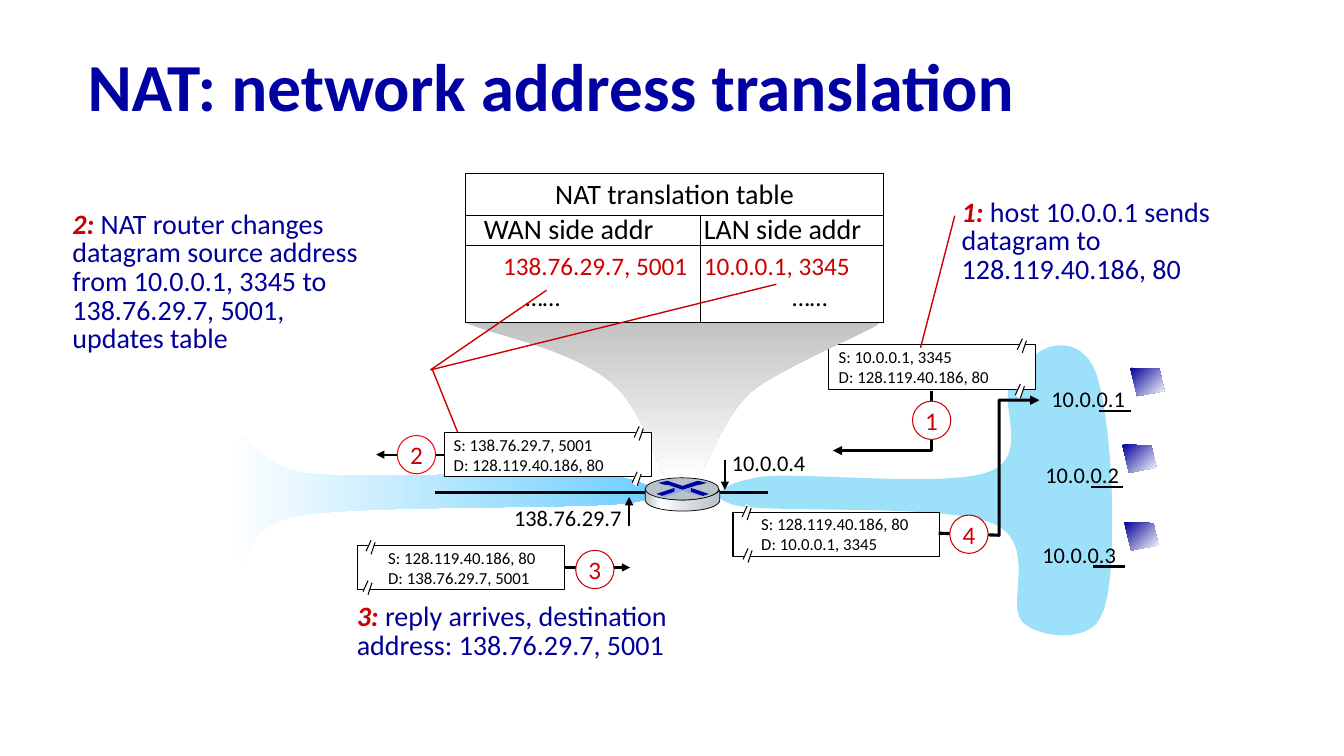
from lxml import etree
from pptx import Presentation
from pptx.dml.color import RGBColor
from pptx.enum.shapes import MSO_CONNECTOR as Connector, MSO_SHAPE as Shape
from pptx.enum.text import MSO_ANCHOR as Anchor, PP_ALIGN as Align
from pptx.oxml import parse_xml
from pptx.oxml.ns import nsdecls, qn
from pptx.util import Pt

PX = 9144
FONT = "Calibri"
BLACK, WHITE, RED, NAVY, BLUE = "000000", "FFFFFF", "CC0000", "000099", "0000A3"

TITLE = "NAT: network address translation"
WAN_CLOUD = [(598, 471), (545, 466, 368, 476, 308, 470), (248, 464, 249, 421, 237, 435),
             (225, 450, 227, 544, 237, 557), (247, 569, 235, 521, 299, 511),
             (363, 501, 573, 505, 623, 499), (673, 492, 641, 476, 598, 471)]
LAN_CLOUD = [(755, 473), (796, 468, 940, 484, 981, 468), (1022, 453, 991, 402, 1002, 381),
             (1013, 360, 1033, 344, 1047, 343), (1061, 341, 1079, 346, 1088, 373),
             (1097, 400, 1103, 464, 1103, 505), (1103, 546, 1103, 599, 1088, 618),
             (1073, 636, 1031, 633, 1014, 617), (997, 600, 1031, 538, 984, 519),
             (938, 500, 771, 509, 733, 502), (695, 494, 717, 479, 755, 473)]
FUNNEL = [(462, 320), (462, 320, 823, 309, 871, 320), (885, 319, 777, 363, 747, 387),
          (717, 412, 702, 463, 689, 477), (663, 477), (649, 460, 638, 404, 605, 378),
          (563, 345, 495, 334, 462, 320)]
ROUTER_SIDE = [(714, 486), (714, 497), (711, 505, 690, 507, 677, 507),
               (665, 507, 643, 505, 640, 497), (640, 494, 640, 488, 640, 485),
               (644, 492, 665, 496, 677, 496), (689, 496, 710, 493, 714, 486)]
ROUTER_ARROWS = [
    [(692, 477), (701, 479), (694, 481), (693, 481), (677, 486), (662, 481), (659, 481),
     (653, 479), (662, 477), (677, 482)],
    [(685, 484), (703, 490), (697, 492), (685, 488)],
    [(669, 484), (669, 488), (657, 492), (651, 490)]]
ROUTER_CROSS = [(659, 481), (662, 481), (677, 486), (693, 481), (695, 481), (685, 484),
                (685, 488), (696, 492), (693, 492), (677, 487), (660, 493), (657, 492),
                (669, 488), (669, 484)]
ROUTER_METAL = [(0, "B8C2C9"), (21, WHITE), (60, "D6DCE0"), (100, "B8C2C9")]

PACKETS = {
    "1": dict(at=(822, 342), lines=["S: 10.0.0.1, 3345", "D: 128.119.40.186, 80"], inset=10,
              breaks=[(1009, 334), (1007, 379)], badge=(905, 398), ring=RED,
              route=[(826, 447), (924, 447), (924, 388)]),
    "2": dict(at=(441, 429), lines=["S: 138.76.29.7, 5001", "D: 128.119.40.186, 80"], inset=9,
              breaks=[(629, 421), (627, 466)], badge=(394, 432), ring="FF0000",
              side=1, tip=(373, 451)),
    "3": dict(at=(355, 541), lines=["S: 128.119.40.186, 80", "D: 138.76.29.7, 5001"], inset=30,
              breaks=[(363, 534), (360, 574)], badge=(571, 546), ring=RED,
              side=3, tip=(625, 563)),
    "4": dict(at=(727, 508), lines=["S: 128.119.40.186, 80", "D: 10.0.0.1, 3345"], inset=28,
              breaks=[(736, 500), (737, 542)], badge=(942, 511), ring=RED,
              route=[(1031, 397), (991, 397), (991, 531), (931, 529)])}
NOTES = {
    "1": ((944, 193, 336, 96), ["host 10.0.0.1 sends datagram to 128.119.40.186, 80"]),
    "2": ((62, 205, 345, 153), ["NAT router changes datagram source address from 10.0.0.1, "
                                "3345 to 138.76.29.7, 5001,", "updates table"]),
    "3": ((344, 594, 389, 68), ["reply arrives, destination address: 138.76.29.7, 5001"])}
TABLE_AT = (462, 172)
COLUMN_WIDTHS = [233, 181]
TABLE_ROWS = [
    (42, 20, BLACK, "LRTB", Anchor.MIDDLE, 1, [("NAT translation table", 0)]),
    (30, 20, BLACK, "LRTB", Anchor.MIDDLE, 0.87, [("WAN side addr", 18), ("LAN side addr", 3)]),
    (36, 18, RED, "LRT", Anchor.BOTTOM, 1, [("138.76.29.7, 5001", 37), ("10.0.0.1, 3345", 3)]),
    (40, 18, BLACK, "LRB", Anchor.TOP, 1, [("……", 59), ("……", 91)])]
HOSTS = [("10.0.0.1", (1033, 377), (1121, 365), (1090, 408)),
         ("10.0.0.2", (1027, 453), (1113, 441), (1082, 483)),
         ("10.0.0.3", (1024, 532), (1115, 518), (1084, 562))]

presentation = Presentation()
presentation.slide_width, presentation.slide_height = 1333 * PX, 750 * PX
slide = presentation.slides.add_slide(presentation.slide_layouts[6])
shapes = slide.shapes


def rgb(color):
    return RGBColor.from_string(color)


def scaled(*lengths):
    return [length * PX for length in lengths]


def paint(shape, fill=None, line=None, width=0.75, angle=0):
    shape.shadow.inherit = False
    shape.fill.background()
    if isinstance(fill, list):
        stops = "".join(f'<a:gs pos="{pos * 1000}"><a:srgbClr val="{color}"/></a:gs>'
                        for pos, color in fill)
        properties = shape._element.spPr
        properties.replace(properties.find(qn("a:noFill")), parse_xml(
            f'<a:gradFill {nsdecls("a")} rotWithShape="1"><a:gsLst>{stops}</a:gsLst>'
            f'<a:lin ang="{angle * 60000}" scaled="0"/></a:gradFill>'))
    elif fill:
        shape.fill.solid()
        shape.fill.fore_color.rgb = rgb(fill)
    if line:
        shape.line.color.rgb = rgb(line)
        shape.line.width = Pt(width)
    else:
        shape.line.fill.background()
    return shape


def bend(shape, segments):
    nodes = iter(list(shape._element.iter(qn("a:lnTo"))))
    for segment in segments:
        group = [next(nodes) for _ in range(len(segment) // 2)]
        if len(group) == 3:
            curve = parse_xml(f'<a:cubicBezTo {nsdecls("a")}/>')
            group[0].addprevious(curve)
            for node in group:
                curve.append(node[0])
                node.getparent().remove(node)


def outline_shape(outline, fill=None, closed=True, **style):
    points = [tuple(scaled(*segment[index:index + 2]))
              for segment in outline for index in range(0, len(segment), 2)]
    builder = shapes.build_freeform(*points[0], scale=1.0)
    builder.add_line_segments(points[1:], close=closed)
    shape = builder.convert_to_shape()
    bend(shape, outline[1:])
    return paint(shape, fill, **style)


def arrowhead(shape, end):
    etree.SubElement(shape.line._get_or_add_ln(), qn(f"a:{end}"), type="triangle")


def connect(start, end, color=BLACK, width=0.75, arrow=False):
    line = shapes.add_connector(Connector.STRAIGHT, *scaled(*start, *end))
    line.line.color.rgb = rgb(color)
    line.line.width = Pt(width)
    if arrow:
        arrowhead(line, "tailEnd")
    etree.SubElement(line._element.spPr, qn("a:effectLst"))
    return line


def write(frame, lines, size, color, bold=False, spacing=None, align=Align.LEFT, lead=None):
    frame.text = "\n".join(lines)
    for paragraph in frame.paragraphs:
        paragraph.alignment = align
        if spacing:
            paragraph.line_spacing = spacing
    if lead:
        frame.paragraphs[0].text = lead
        frame.paragraphs[0].add_run().text = lines[0]
    for run in [run for paragraph in frame.paragraphs for run in paragraph.runs]:
        leading = run.text == lead
        run.font.name, run.font.size = FONT, Pt(size)
        run.font.bold, run.font.italic = bold or leading, leading
        run.font.color.rgb = rgb(RED if leading else color)


def text_box(at, lines, size, color, wrap=True, **style):
    frame = shapes.add_textbox(*scaled(*at)).text_frame
    frame.word_wrap = wrap
    write(frame, lines, size, color, **style)
    return frame


def note(number):
    at, lines = NOTES[number]
    text_box(at, lines, 20, NAVY, spacing=0.85, lead=f"{number}: ")


def filled_text(shape, lines, size, color, inset=0, **style):
    frame = shape.text_frame
    frame.margin_left = inset * PX
    frame.margin_right = frame.margin_top = frame.margin_bottom = 0
    frame.vertical_anchor = Anchor.MIDDLE
    frame.word_wrap = False
    write(frame, lines, size, color, **style)


def packet(number):
    data = PACKETS[number]
    box = paint(shapes.add_shape(Shape.RECTANGLE, *scaled(*data["at"], 205, 44)), WHITE, BLACK)
    filled_text(box, data["lines"], 12, BLACK, data["inset"])
    for x, y in data["breaks"]:
        outline_shape([(x + 4, y), (x, y + 13), (x + 5, y + 17), (x + 9, y + 4)], WHITE)
        connect((x + 5, y + 2), (x, y + 13))
        connect((x + 9, y + 4), (x + 5, y + 16))
    if "route" in data:
        arrowhead(outline_shape(data["route"], closed=False, line=BLACK, width=2.25), "headEnd")
    else:
        connect(data["tip"], data["tip"], width=1.5, arrow=True).begin_connect(box, data["side"])
    badge = paint(shapes.add_shape(Shape.OVAL, *scaled(*data["badge"], 38, 38)),
                  WHITE, data["ring"])
    filled_text(badge, [number], 18, RED, align=Align.CENTER)


def border(cell, visible):
    properties = cell._tc.get_or_add_tcPr()
    for position, side in enumerate("LRTB"):
        fill = (f'<a:solidFill><a:srgbClr val="{BLACK}"/></a:solidFill>'
                if side in visible else "<a:noFill/>")
        properties.insert(position, parse_xml(
            f'<a:ln{side} {nsdecls("a")} w="9525">{fill}</a:ln{side}>'))


def translation_table():
    heights = [row[0] for row in TABLE_ROWS]
    table = shapes.add_table(len(heights), 2, *scaled(
        *TABLE_AT, sum(COLUMN_WIDTHS), sum(heights))).table
    table.first_row = table.horz_banding = False
    for column, width in zip(table.columns, COLUMN_WIDTHS):
        column.width = width * PX
    table.cell(0, 0).merge(table.cell(0, 1))
    for index, (height, size, color, sides, anchor, spacing, entries) in enumerate(TABLE_ROWS):
        table.rows[index].height = height * PX
        for cell in table.rows[index].cells:
            cell.fill.solid()
            cell.fill.fore_color.rgb = rgb(WHITE)
            cell.margin_left = cell.margin_right = cell.margin_top = cell.margin_bottom = 0
            cell.vertical_anchor = anchor
            border(cell, sides)
        for column, (text, inset) in enumerate(entries):
            cell = table.cell(index, column)
            cell.margin_left = inset * PX
            write(cell.text_frame, [text], size, color, spacing=spacing,
                  align=Align.LEFT if inset else Align.CENTER)


def router():
    connect((431, 489), (762, 489), width=2)
    outline_shape(ROUTER_SIDE, ROUTER_METAL, line=BLACK, width=0.5)
    paint(shapes.add_shape(Shape.OVAL, *scaled(640, 474, 73, 22)), "B8C2C9", BLACK, 0.5)
    for arrow in ROUTER_ARROWS:
        outline_shape(arrow, BLUE)
    outline_shape(ROUTER_CROSS, "8FAADC")


title = text_box((77, 31, 1150, 117), [TITLE], 48, BLUE, bold=True, spacing=0.9)
title.vertical_anchor = Anchor.MIDDLE
outline_shape(WAN_CLOUD, [(0, WHITE), (100, "66CCFF")])
outline_shape(LAN_CLOUD, "9CE0FA")
packet("1")
text_box((716, 441, 94, 37), ["10.0.0.4"], 16, BLACK, wrap=False)
text_box((500, 495, 128, 37), ["138.76.29.7"], 16, BLACK, wrap=False)
note("1")
connect((947, 214), (913, 345), RED, 1)
outline_shape(FUNNEL, [(0, "BFBFBF"), (100, WHITE)], angle=90)
translation_table()
packet("4")
packet("2")
note("2")
for start, target in [((429, 367), (454, 429)), ((427, 367), (542, 288)), ((427, 367), (770, 282))]:
    connect(start, target, RED, 1)
packet("3")
note("3")
for address, label, (x, y), base in HOSTS:
    text_box((*label, 94, 37), [address], 16, BLACK, wrap=False)
    outline_shape([(x, y), (x + 29, y + 1), (x + 34, y + 23), (x + 7, y + 28)],
                  [(0, NAVY), (100, WHITE)], angle=45)
    connect(base, (base[0] + 32, base[1]), width=1.5)
router()
connect((624, 522), (624, 493), width=1.5, arrow=True)
connect((719, 456), (719, 486), width=1.5, arrow=True)
presentation.save("out.pptx")
